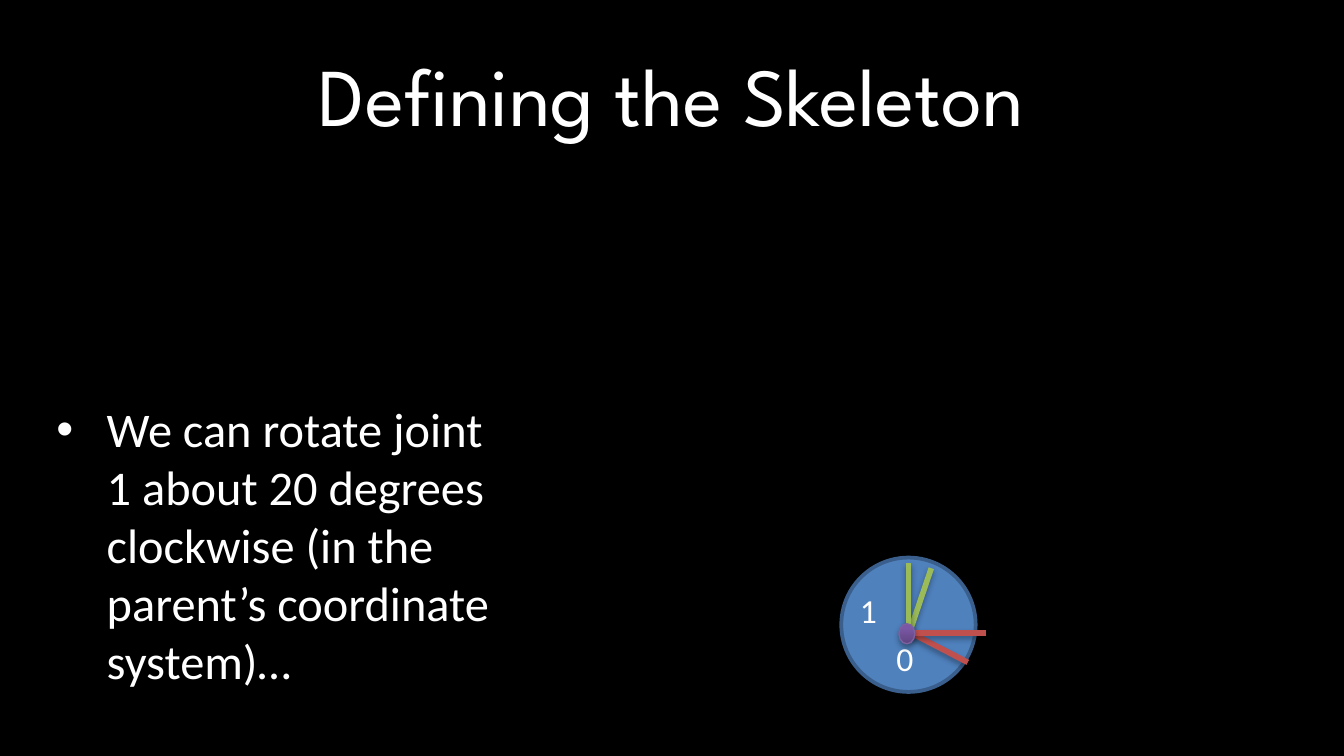
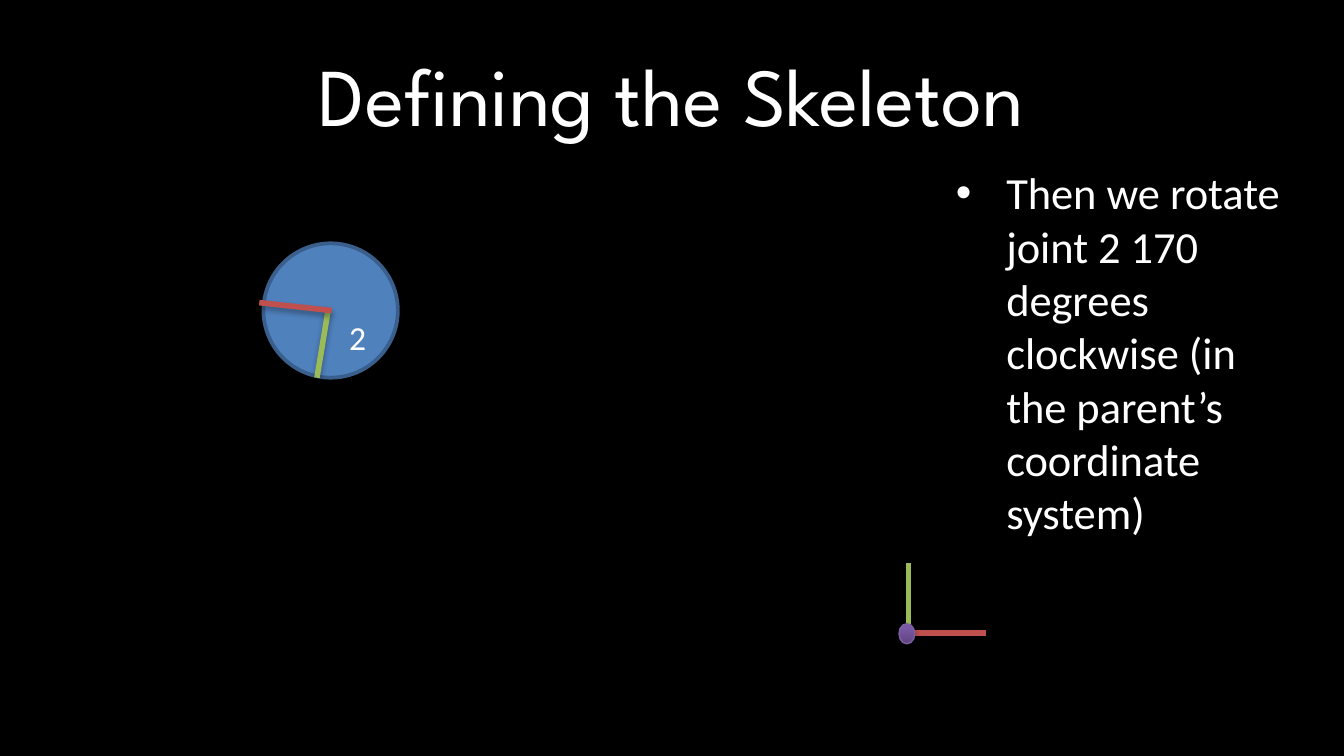
"""Build two slides on rotating the joints of a skeleton."""
from lxml import etree
from pptx import Presentation
from pptx.dml.color import RGBColor
from pptx.enum.shapes import MSO_CONNECTOR, MSO_SHAPE
from pptx.enum.text import MSO_ANCHOR, MSO_AUTO_SIZE, PP_ALIGN
from pptx.util import Cm, Pt

OVAL = MSO_SHAPE.OVAL
LINE = MSO_CONNECTOR.STRAIGHT
MID = MSO_ANCHOR.MIDDLE
TOP = MSO_ANCHOR.TOP
FIXED = MSO_AUTO_SIZE.NONE
LEFT = PP_ALIGN.LEFT
MAIN = PP_ALIGN.CENTER

HUES = {
    "back": "000000", "text": "FFFFFF", "disc": "4F81BD", "rim": "3A5F8C",
    "x": "C0504D", "y": "9BBB59", "dark": "5F4480", "light": "7B58A6",
    "edge": "7D60A0",
}
RGB = {name: RGBColor.from_string(hue) for name, hue in HUES.items()}
SHADE = (
    '<a:effectLst xmlns:a="http://schemas.openxmlformats.org/drawingml/2006/main">'
    '<a:outerShdw blurRad="40000" dist="23000" dir="5400000" rotWithShape="0">'
    '<a:srgbClr val="000000"><a:alpha val="35000"/></a:srgbClr>'
    '</a:outerShdw></a:effectLst>'
)
DISC = 2.54
BASE = [
    ("y", 17.17, 12.04, 17.17, 10.64),
    ("x", 18.64, 11.96, 17.17, 11.96),
]
PAGES = [
    {
        "disc": (15.9, 10.54),
        "axes": [("y", 17.17, 12.01, 17.6, 10.74),
                 ("x", 18.29, 12.52, 17.17, 11.94)],
        "tags": [("1", 16, 11.02, 0.64), ("0", 16.69, 11.94, 1.27)],
        "body": (0.81, 7.42, 8.71, 6.3),
        "size": 25.9,
        "text": "We can rotate joint 1 about 20 degrees clockwise "
                "(in the parent’s coordinate system)…",
    },
    {
        "disc": (4.98, 4.6),
        "axes": [("y", 5.99, 7.14, 6.2, 5.87),
                 ("x", 6.27, 5.87, 4.9, 5.72)],
        "tags": [("2", 6.35, 5.87, 0.56)],
        "body": (17.81, 3, 6.83, 6.3),
        "size": 23.8,
        "text": "Then we rotate joint 2 170 degrees clockwise "
                "(in the parent’s coordinate system)",
    },
]


def write(shape, text, size, face="Calibri", align=LEFT, anchor=TOP):
    frame = shape.text_frame
    frame.word_wrap = True
    frame.auto_size = FIXED
    frame.vertical_anchor = anchor
    par = frame.paragraphs[0]
    par.alignment = align
    par.space_before = Pt(0)
    run = par.add_run()
    run.text = text
    run.font.size = Pt(size)
    run.font.name = face
    run.font.color.rgb = RGB["text"]


def place(shape, *box):
    shape.left, shape.top, shape.width, shape.height = map(Cm, box)


deck = Presentation()
deck.slide_width, deck.slide_height = Cm(25.4), Cm(14.29)
back = deck.slide_master.background.fill
back.solid()
back.fore_color.rgb = RGB["back"]

for page in PAGES:
    slide = deck.slides.add_slide(deck.slide_layouts[1])
    shapes = slide.shapes
    title, body = slide.placeholders
    place(title, 1.27, 0.58, 22.86, 2.39)
    write(title, "Defining the Skeleton", 44, "League Spartan", MAIN, MID)
    place(body, *page["body"])
    write(body, page["text"], page["size"])

    disc = shapes.add_shape(OVAL, *map(Cm, page["disc"]), Cm(DISC), Cm(DISC))
    disc.shadow.inherit = False
    disc.fill.solid()
    disc.fill.fore_color.rgb = RGB["disc"]
    disc.line.color.rgb = RGB["rim"]
    disc.line.width = Pt(2)

    for hue, *ends in page["axes"] + BASE:
        axis = shapes.add_connector(LINE, *map(Cm, ends))
        axis.line.color.rgb = RGB[hue]
        axis.line.width = Pt(3)
        axis._element.spPr.append(etree.fromstring(SHADE))

    for text, left, top, width in page["tags"]:
        tag = shapes.add_textbox(Cm(left), Cm(top), Cm(width), Cm(1.02))
        write(tag, text, 18)

    dot = shapes.add_shape(OVAL, Cm(16.99), Cm(11.79), Cm(0.3), Cm(0.38))
    dot.fill.gradient()
    dot.fill.gradient_angle = 90
    for stop, hue, spot in zip(dot.fill.gradient_stops, ("dark", "light"), (0, 0.8)):
        stop.color.rgb = RGB[hue]
        stop.position = spot
    dot.line.color.rgb = RGB["edge"]
    dot.line.width = Pt(0.75)
    dot._element.spPr.append(etree.fromstring(SHADE))

deck.save("out.pptx")
